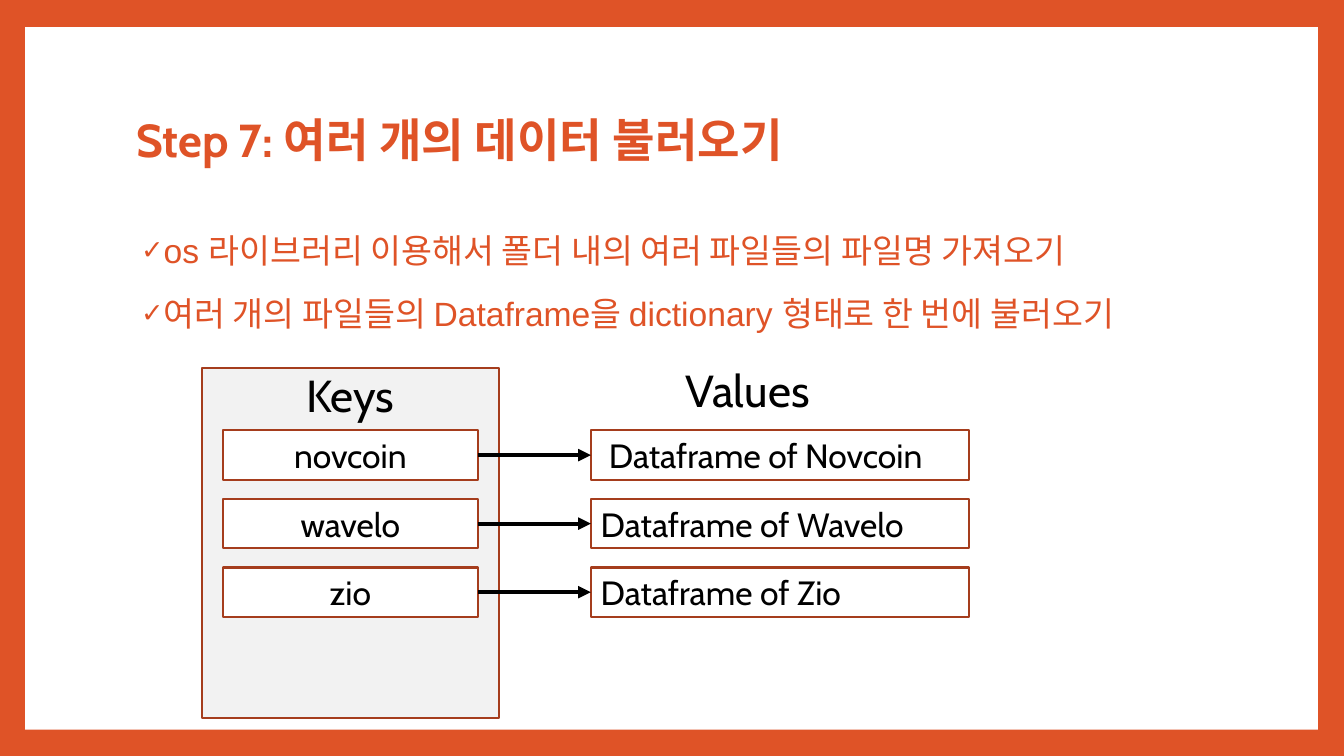
import pptx
import pptx.dml.color
import pptx.enum.shapes
import pptx.enum.text
import pptx.oxml
import pptx.oxml.ns
import pptx.util

ALIGN = pptx.enum.text.PP_ALIGN
ANCHOR = pptx.enum.text.MSO_ANCHOR
FIT = pptx.enum.text.MSO_AUTO_SIZE
RECT = pptx.enum.shapes.MSO_SHAPE.RECTANGLE
LINK = pptx.enum.shapes.MSO_CONNECTOR.STRAIGHT
SCALE = 9144


def px(count):
    return pptx.util.Emu(count * SCALE)


def tint(code):
    return pptx.dml.color.RGBColor.from_string(code)


def put(thing, **vals):
    for key, val in vals.items():
        setattr(thing, key, val)


def node(tag, **vals):
    item = pptx.oxml.parse_xml(f"<a:{tag} {pptx.oxml.ns.nsdecls('a')}/>")
    for key, val in vals.items():
        item.set(key, val)
    return item


class Deck:
    """Hold the style and the current slide, and draw each kind of element."""

    main, edge, ink, white, grey = "DF5327", "A53D1D", "000000", "FFFFFF", "F2F2F2"
    head, body = "Cabin", "Arial"

    def __init__(self, wide, high):
        self.file = pptx.Presentation()
        put(self.file, slide_width=px(wide), slide_height=px(high))
        self.slide = self.file.slides.add_slide(self.file.slide_layouts[1])
        self.shapes = self.slide.shapes
        fill = self.slide.background.fill
        fill.solid()
        fill.fore_color.rgb = tint(self.main)

    def place(self, shape, box):
        put(shape, **dict(zip(("left", "top", "width", "height"), map(px, box))))

    def words(self, para, text, size, name, code, **vals):
        run = para.add_run()
        run.text = text
        put(run.font, size=pptx.util.Pt(size), name=name, **vals)
        run.font.color.rgb = tint(code)

    def title(self, text, box):
        shape = self.shapes.title
        self.place(shape, box)
        frame = shape.text_frame
        put(frame, auto_size=FIT.NONE, word_wrap=True, vertical_anchor=ANCHOR.MIDDLE)
        para = frame.paragraphs[0]
        put(para, alignment=ALIGN.LEFT, line_spacing=0.9)
        self.words(para, text, 33, self.head, self.main, bold=True)

    def list(self, lines, box):
        shape = self.slide.placeholders[1]
        self.place(shape, box)
        frame = shape.text_frame
        put(frame, auto_size=FIT.NONE, word_wrap=True, vertical_anchor=ANCHOR.TOP)
        for rank, text in enumerate(lines):
            para = frame.add_paragraph() if rank else frame.paragraphs[0]
            put(para, line_spacing=1.2, space_before=pptx.util.Pt(10.5))
            self.words(para, text, 24, self.body, self.main)
            props = para._p.get_or_add_pPr()
            props.set("marL", str(px(19)))
            props.set("indent", str(px(-15)))
            shade = node("buClr")
            shade.append(node("srgbClr", val=self.main))
            props.extend([shade, node("buSzPct", val="80000"), node("buChar", char="✓")])

    def panel(self, box):
        shape = self.shapes.add_shape(RECT, *map(px, box))
        shape.shadow.inherit = False
        shape.fill.solid()
        shape.fill.fore_color.rgb = tint(self.white)
        shape.line.fill.background()
        self.shapes.title.element.addprevious(shape.element)

    def card(self, text, box, size=24, fill=white, align=ALIGN.CENTER, **vals):
        shape = self.shapes.add_shape(RECT, *map(px, box))
        shape.shadow.inherit = False
        shape.fill.solid()
        shape.fill.fore_color.rgb = tint(fill)
        shape.line.color.rgb = tint(self.edge)
        shape.line.width = pptx.util.Pt(1.5)
        frame = shape.text_frame
        put(frame, **{"word_wrap": True, "vertical_anchor": ANCHOR.MIDDLE, **vals})
        para = frame.paragraphs[0]
        para.alignment = align
        self.words(para, text, size, self.head, self.ink)
        return shape

    def arrow(self, start, stop):
        link = self.shapes.add_connector(LINK, 0, 0, 0, 0)
        link.begin_connect(start, 3)
        link.end_connect(stop, 1)
        link.line.color.rgb = tint(self.ink)
        link.line.width = pptx.util.Pt(3)
        props = link.element.spPr
        props.get_or_add_ln().append(node("tailEnd", type="triangle"))
        props.append(node("effectLst"))

    def label(self, text, box):
        frame = self.shapes.add_textbox(*map(px, box)).text_frame
        put(frame, word_wrap=False, auto_size=FIT.SHAPE_TO_FIT_TEXT)
        self.words(frame.paragraphs[0], text, 32, self.head, self.ink)


def main():
    deck = Deck(1333, 750)
    deck.panel((25, 27, 1282, 697))
    deck.title("Step 7: 여러 개의 데이터 불러오기", (125, 67, 1080, 148))
    deck.list(
        (
            "os 라이브러리 이용해서 폴더 내의 여러 파일들의 파일명 가져오기",
            "여러 개의 파일들의 Dataframe을 dictionary 형태로 한 번에 불러오기",
        ),
        (126, 215, 1054, 132),
    )
    deck.card("Keys", (200, 365, 295, 347), 32, deck.grey,
              vertical_anchor=ANCHOR.TOP, margin_top=0)
    pairs = (("novcoin", "Novcoin", 18), ("wavelo", "Wavelo", 10), ("zio", "Zio", 10))
    for row, (key, name, inset) in enumerate(pairs):
        top = 427 + 68 * row
        left = deck.card(key, (221, top, 253, 49))
        right = deck.card(f"Dataframe of {name}", (586, top, 375, 49),
                          align=ALIGN.LEFT, margin_left=px(inset))
        deck.arrow(left, right)
    deck.label("Values", (670, 355, 143, 64))
    deck.file.save("out.pptx")


if __name__ == "__main__":
    main()
